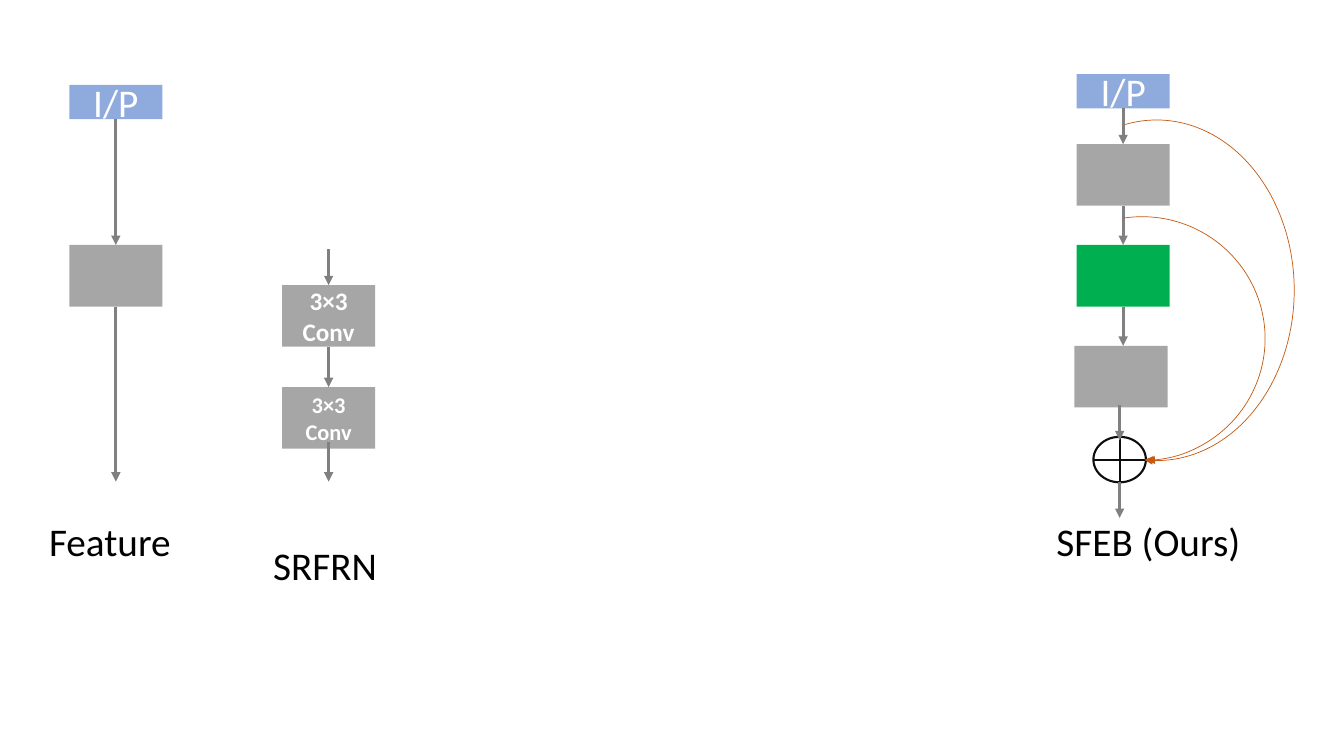
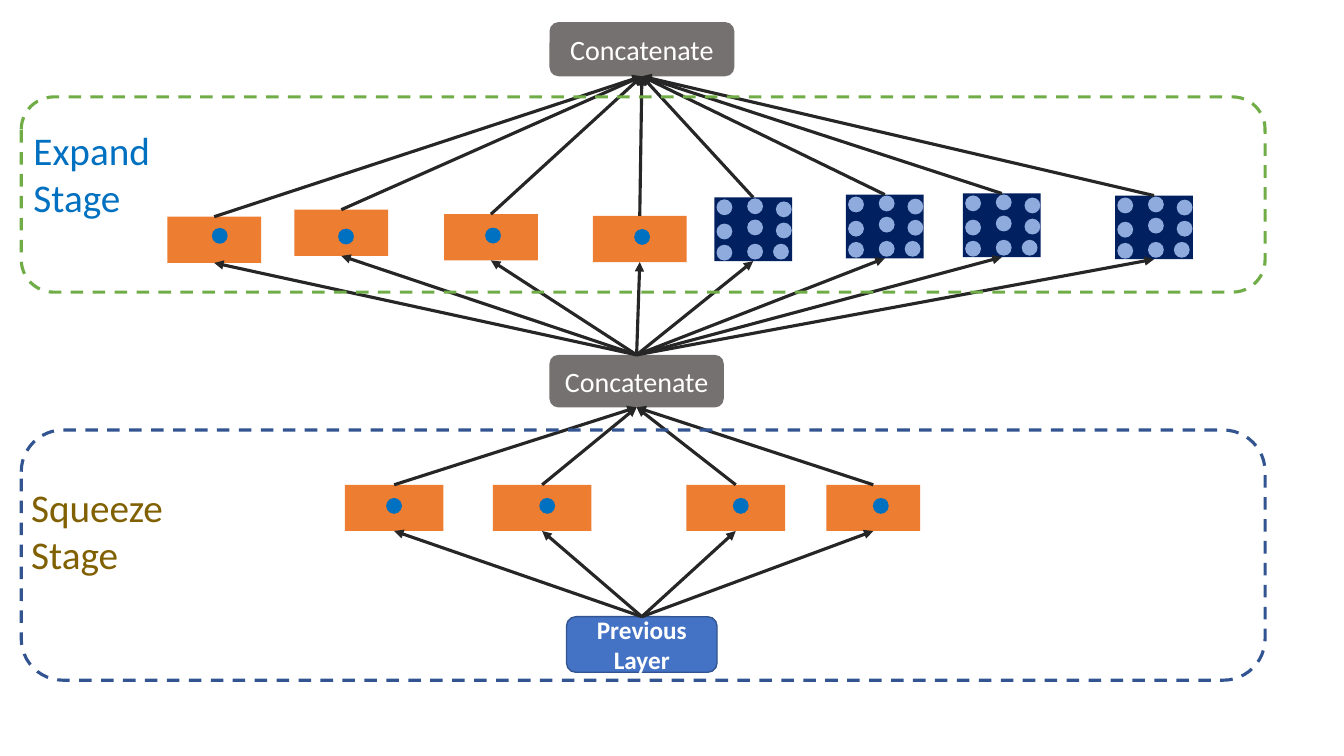
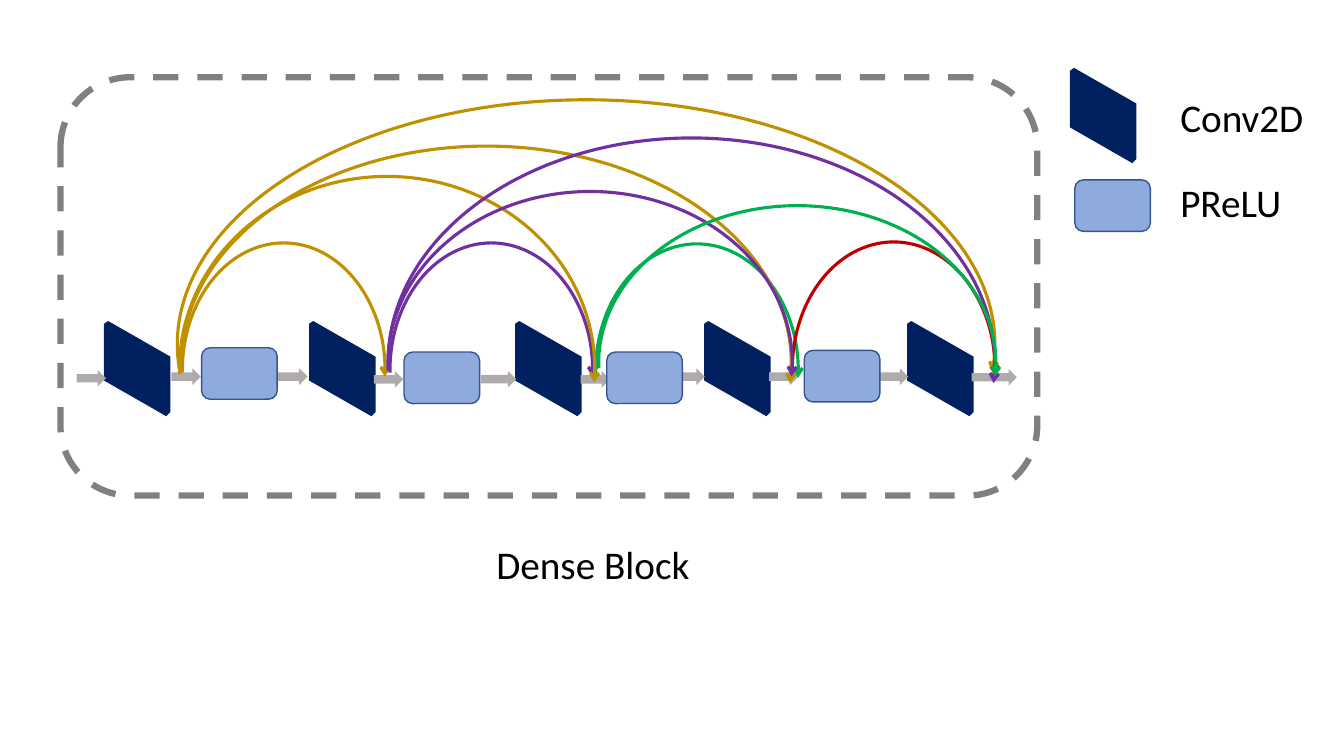
from dataclasses import dataclass
from typing import Any, NamedTuple, Optional, Union

from lxml.etree import SubElement
from pptx import Presentation
from pptx.dml.color import RGBColor as RGB
from pptx.enum.dml import MSO_LINE
from pptx.enum.shapes import MSO_CONNECTOR, MSO_SHAPE as Preset
from pptx.enum.text import MSO_ANCHOR as Anchor, PP_ALIGN as Align
from pptx.oxml.ns import qn
from pptx.util import Pt


# Theme: colours, type sizes and line widths
@dataclass(frozen=True)
class Theme:
    font: str = "Calibri"
    white: str = "FFFFFF"
    black: str = "000000"
    grey: str = "A6A6A6"
    mid_grey: str = "808080"
    warm_grey: str = "767171"
    flow_grey: str = "AFABAB"
    ink: str = "262626"
    ring: str = "0D0D0D"
    navy: str = "002060"
    blue: str = "4472C4"
    light_blue: str = "8FAADC"
    outline_blue: str = "325491"
    dot_blue: str = "0070C0"
    orange: str = "ED7D31"
    skip_orange: str = "C55A11"
    frame_green: str = "70AD47"
    green: str = "00B050"
    gold: str = "BF9000"
    brown: str = "806000"
    purple: str = "7030A0"
    red: str = "C00000"
    label: int = 28
    node: int = 20
    strong: int = 18
    small: int = 16
    stroke: float = 2.25


T = Theme()
TOP, BOTTOM = 0, 2


class Box(NamedTuple):
    left: float
    top: float
    width: float
    height: float


class Point(NamedTuple):
    x: float
    y: float


class Port(NamedTuple):
    shape: Any
    site: int


class Stroke(NamedTuple):
    color: str
    width: float = T.stroke
    dashed: bool = False


class Words(NamedTuple):
    text: str
    size: int = T.label
    color: str = T.white
    bold: bool = False


class Arc(NamedTuple):
    box: Box
    color: str
    start: float = 178.48
    end: float = 3.87


class Cell(NamedTuple):
    left: float
    top: float
    width: float
    dot_x: float
    dot_y: float


End = Union[Point, Port]


# Shared drawing functions
def assign(target: Any, values: dict[str, Any]) -> None:
    for name, value in values.items():
        setattr(target, name, value)


def write(frame: Any, words: Words, align: Align, anchor: Anchor) -> None:
    assign(frame, {"text": words.text, "word_wrap": True, "vertical_anchor": anchor})
    for paragraph in frame.paragraphs:
        paragraph.alignment = align
        for run in paragraph.runs:
            assign(run.font, {"name": T.font, "size": Pt(words.size), "bold": words.bold})
            run.font.color.rgb = RGB.from_string(words.color)


def paint(shape: Any, fill: Optional[str], stroke: Optional[Stroke]) -> None:
    shape.shadow.inherit = False
    if fill:
        shape.fill.solid()
        shape.fill.fore_color.rgb = RGB.from_string(fill)
    else:
        shape.fill.background()
    if stroke:
        draw_line(shape.line, stroke)
    else:
        shape.line.fill.background()


def draw_line(line: Any, stroke: Stroke) -> None:
    line.color.rgb = RGB.from_string(stroke.color)
    line.width = Pt(stroke.width)
    if stroke.dashed:
        line.dash_style = MSO_LINE.DASH


def add_head(shape: Any, kind: str) -> None:
    SubElement(shape.element.spPr.find(qn("a:ln")), qn("a:tailEnd"), type=kind)


def block(slide: Any, preset: Preset, box: Box, fill: Optional[str] = None,
          stroke: Optional[Stroke] = None, words: Optional[Words] = None) -> Any:
    shape = slide.shapes.add_shape(preset, *map(Pt, box))
    paint(shape, fill, stroke)
    if words:
        write(shape.text_frame, words, Align.CENTER, Anchor.MIDDLE)
    return shape


def label(slide: Any, box: Box, text: str, color: str = T.black) -> None:
    frame = slide.shapes.add_textbox(*map(Pt, box)).text_frame
    write(frame, Words(text, color=color), Align.LEFT, Anchor.TOP)


def arrow(slide: Any, start: End, end: End, color: str) -> None:
    first, last = (Point(0, 0) if isinstance(e, Port) else e for e in (start, end))
    link = slide.shapes.add_connector(MSO_CONNECTOR.STRAIGHT, *map(Pt, first + last))
    if isinstance(start, Port):
        link.begin_connect(*start)
    if isinstance(end, Port):
        link.end_connect(*end)
    draw_line(link.line, Stroke(color))
    add_head(link, "triangle")
    SubElement(link.element.spPr, qn("a:effectLst"))


def skip_arc(slide: Any, arc: Arc, width: float, head: str) -> None:
    shape = block(slide, Preset.ARC, arc.box, stroke=Stroke(arc.color, width))
    for index, degrees in enumerate((arc.start, arc.end)):
        shape.adjustments[index] = degrees * 0.6
    add_head(shape, head)


# Slide 1: feature extraction blocks
def feature_blocks(slide: Any) -> None:
    width, height = 66.5, 44

    def layer(left: float, top: float, fill: str = T.grey,
              words: Optional[Words] = None) -> Any:
        return block(slide, Preset.RECTANGLE, Box(left, top, width, height), fill, words=words)

    def source(left: float, top: float) -> Any:
        return block(slide, Preset.RECTANGLE, Box(left, top, width, 24.5), T.light_blue,
                     words=Words("I/P"))

    # SFEB column
    sfeb_left, sfeb_x, sum_x = 769, 802.25, 799.75
    sfeb_input = source(sfeb_left, 53)
    first = layer(sfeb_left, 103)
    middle = layer(sfeb_left, 175, T.green)
    layer(767.5, 247)
    block(slide, Preset.FLOWCHART_OR, Box(781, 312, 37.5, 32.5), stroke=Stroke(T.ring, 1.5))

    # Feature column
    feature_left, feature_x = 49.5, 82.75
    feature_input = source(feature_left, 60.7)
    feature = layer(feature_left, 175)

    # SRFRN column
    srfrn_left, srfrn_x = 201.5, 234.75
    upper = layer(srfrn_left, 203.7, words=Words("3×3 Conv", T.strong, bold=True))
    lower = layer(srfrn_left, 276.5, words=Words("3×3 Conv", T.small, bold=True))

    for start, end in (
        (Port(sfeb_input, BOTTOM), Port(first, TOP)),
        (Port(first, BOTTOM), Port(middle, TOP)),
        (Port(middle, BOTTOM), Point(sfeb_x, 247)),
        (Point(sum_x, 289), Point(sum_x, 314.5)),
        (Point(sum_x, 344.5), Point(sum_x, 370)),
        (Port(feature_input, BOTTOM), Port(feature, TOP)),
        (Port(feature, BOTTOM), Point(feature_x, 344)),
        (Point(srfrn_x, 178), Port(upper, TOP)),
        (Port(upper, BOTTOM), Port(lower, TOP)),
        (Point(srfrn_x, 316), Point(srfrn_x, 344)),
    ):
        arrow(slide, start, end, T.mid_grey)

    for arc in (Arc(Box(728, 85.7, 196.5, 243.3), T.skip_orange, 259.27, 94.15),
                Arc(Box(728, 154.8, 175.7, 174.2), T.skip_orange, 261.55, 87.88)):
        skip_arc(slide, arc, 0.5, "triangle")

    for left, top, name in ((747.5, 366, "SFEB (Ours)"), (28, 366, "Feature"),
                            (188, 383.3, "SRFRN")):
        label(slide, Box(left, top, 157, 41), name)


# Slide 2: squeeze and expand stages
SQUEEZE = [Cell(246.3, 346.3, 70.5, 29.5, 9.4), Cell(352, 346.3, 70.5, 33.2, 9.4),
           Cell(490.3, 346.3, 70.5, 33.2, 9.4), Cell(590.3, 346.3, 67, 33.2, 9.4)]
EXPAND = [Cell(119.5, 154.8, 67, 31.8, 8), Cell(210.3, 149.8, 67, 31.2, 13.5),
          Cell(317.2, 153, 67, 29.3, 9.6), Cell(423.5, 154.2, 67, 29.5, 9.4)]
KERNELS = [Point(510.2, 141), Point(604.2, 139), Point(687.8, 138.2), Point(796.5, 139.7)]
KERNEL_DOTS = [(1.6, 1.4), (1.6, 18.7), (1.6, 33.8),
               (23.5, 0.7), (23.5, 15.8), (23.5, 33.1),
               (44, 2.9), (44, 18), (42, 33.1)]
DOT = 11.3


def dot(slide: Any, left: float, top: float, color: str) -> None:
    block(slide, Preset.OVAL, Box(left, top, DOT, DOT), color)


def pointwise(slide: Any, cell: Cell) -> Any:
    body = block(slide, Preset.RECTANGLE, Box(cell.left, cell.top, cell.width, 33), T.orange)
    dot(slide, cell.left + cell.dot_x, cell.top + cell.dot_y, T.dot_blue)
    return body


def kernel(slide: Any, corner: Point) -> Any:
    body = block(slide, Preset.RECTANGLE, Box(*corner, 55.6, 45.5), T.navy)
    for dx, dy in KERNEL_DOTS:
        dot(slide, corner.x + dx, corner.y + dy, T.light_blue)
    return body


def fire_module(slide: Any) -> None:
    joined, output = (
        block(slide, Preset.ROUNDED_RECTANGLE, box, T.warm_grey,
              words=Words("Concatenate", T.node))
        for box in (Box(392.5, 253.5, 124.5, 37.5), Box(392.5, 15.8, 132, 38.7)))
    previous = block(slide, Preset.ROUNDED_RECTANGLE, Box(404.7, 440.5, 107.5, 39.7), T.blue,
                     Stroke(T.outline_blue, 1), Words("Previous Layer", T.strong, bold=True))

    squeeze = [pointwise(slide, cell) for cell in SQUEEZE]
    expand = [pointwise(slide, cell) for cell in EXPAND]
    expand += [kernel(slide, corner) for corner in KERNELS]

    # Each stage fans out from one node and back into the next
    for below, stage, above in ((previous, squeeze, joined), (joined, expand, output)):
        for part in stage:
            arrow(slide, Port(below, TOP), Port(part, BOTTOM), T.ink)
            arrow(slide, Port(part, TOP), Port(above, BOTTOM), T.ink)

    for top, height, color in ((69.2, 139.5, T.frame_green), (307.2, 178.7, T.outline_blue)):
        block(slide, Preset.ROUNDED_RECTANGLE, Box(15.2, top, 888.5, height),
              stroke=Stroke(color, dashed=True))
    label(slide, Box(15.2, 342, 116, 75), "Squeeze\nStage", T.brown)
    label(slide, Box(16.8, 86.5, 116, 75), "Expand\nStage", T.dot_blue)


# Slide 3: dense block
CONV_OUTLINE = [(0, 2), (3, 0), (47.5, 25.5), (47.5, 65), (44.5, 68), (0, 42.5)]
CONVS = [Point(x, 229.3) for x in (74.3, 220.8, 368, 503, 648)] + [Point(764.3, 48.5)]
PRELUS = [Point(144, 248.4), Point(288.6, 251.5), Point(433.4, 251.5), Point(574.5, 250.3),
          Point(767.7, 128.5)]
FLOWS = [(54.7, 264.2, 21), (122.4, 263, 21), (198.7, 263, 21), (267, 265, 21),
         (343.5, 264.8, 25.2), (414.7, 265, 21), (482.4, 263, 21), (549.4, 263, 21),
         (627.8, 263, 21), (694, 263.5, 32.4)]
ARCS = [
    Arc(Box(130.3, 173.5, 144.7, 181.4), T.gold),
    Arc(Box(278.6, 173.5, 144.7, 181.4), T.purple),
    Arc(Box(425.5, 174.2, 144.7, 181.4), T.green),
    Arc(Box(566, 172.8, 144.7, 181.4), T.red),
    Arc(Box(128.2, 126, 296.6, 274.3), T.gold),
    Arc(Box(129.6, 104.4, 435.6, 309.6), T.gold),
    Arc(Box(126.7, 71.3, 584, 349.2), T.gold, start=176.56),
    Arc(Box(277.2, 136.8, 288.7, 244.8), T.purple),
    Arc(Box(277.2, 98.6, 433.4, 321), T.purple),
    Arc(Box(427.7, 146.9, 283.7, 224.6), T.green),
]


def conv(slide: Any, corner: Point) -> None:
    outline = [(Pt(corner.x + dx), Pt(corner.y + dy)) for dx, dy in CONV_OUTLINE]
    builder = slide.shapes.build_freeform(*outline[0])
    builder.add_line_segments(outline[1:], close=True)
    paint(builder.convert_to_shape(), T.navy, None)


def dense_block(slide: Any) -> None:
    for corner in CONVS:
        conv(slide, corner)
    for left, top, width in FLOWS:
        block(slide, Preset.RIGHT_ARROW, Box(left, top, width, 12), T.flow_grey)
    for arc in ARCS:
        skip_arc(slide, arc, T.stroke, "arrow")
    for corner in PRELUS:
        block(slide, Preset.ROUNDED_RECTANGLE, Box(*corner, 54, 36.8), T.light_blue,
              Stroke(T.outline_blue, 1))
    block(slide, Preset.ROUNDED_RECTANGLE, Box(43.2, 55.2, 697.7, 298.8),
          stroke=Stroke(T.mid_grey, 4.5, dashed=True))
    for box, name in ((Box(836, 63.4, 110, 41), "Conv2D"), (Box(836, 124, 110, 41), "PReLU"),
                      (Box(347.5, 382.3, 241, 41), "Dense Block")):
        label(slide, box, name)


def main() -> None:
    deck = Presentation()
    assign(deck, {"slide_width": Pt(960), "slide_height": Pt(540)})
    blank = deck.slide_layouts[6]
    for draw in (feature_blocks, fire_module, dense_block):
        draw(deck.slides.add_slide(blank))
    deck.save("out.pptx")


if __name__ == "__main__":
    main()
